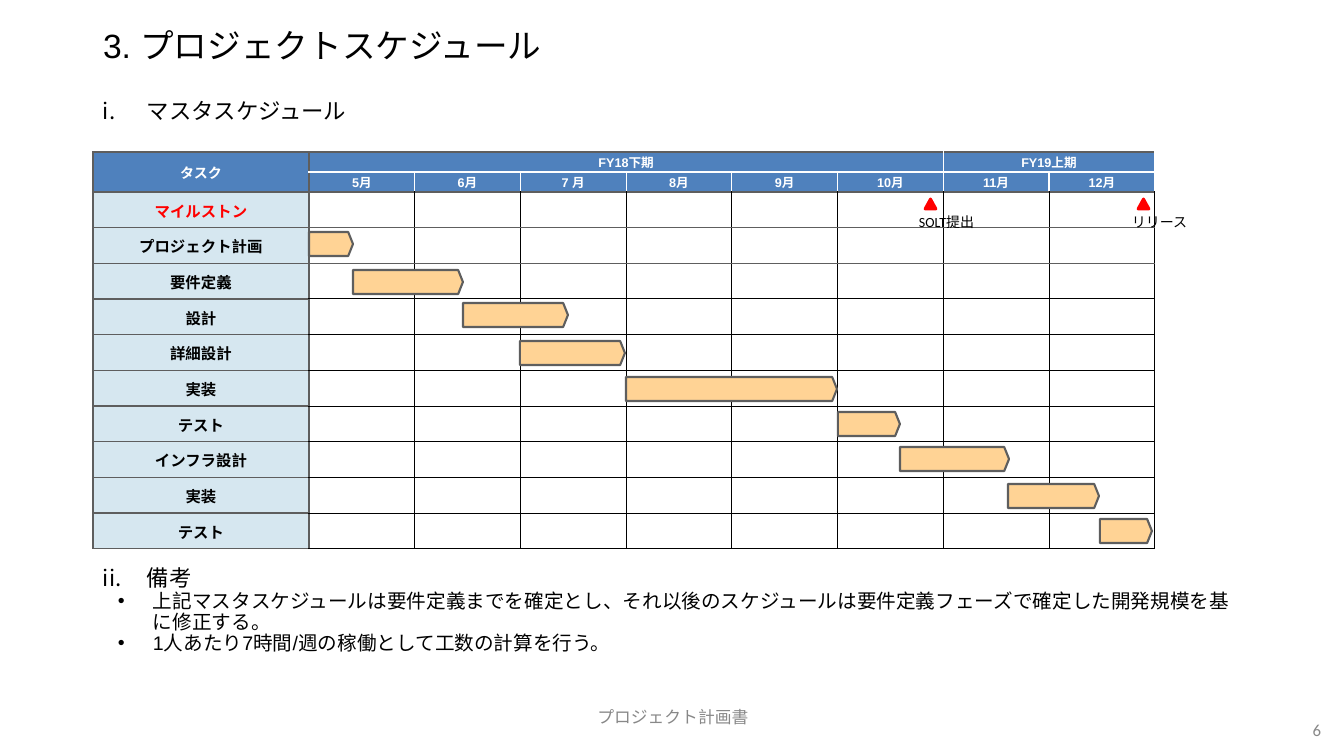
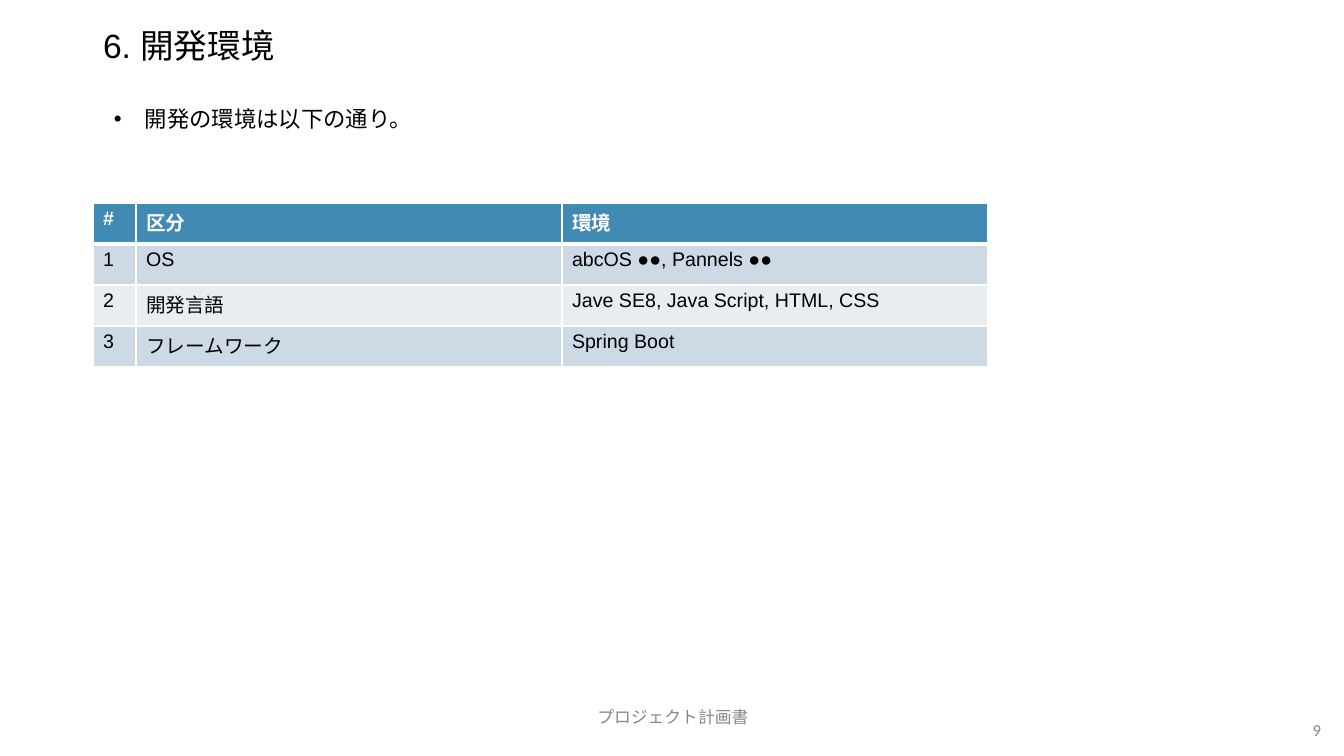
from lxml.etree import SubElement as sub
from pptx import Presentation
from pptx.dml.color import RGBColor as RGB
from pptx.enum.shapes import MSO_SHAPE as SHAPE
from pptx.enum.text import MSO_ANCHOR as ANCHOR, PP_ALIGN as ALIGN
from pptx.oxml.ns import qn
from pptx.util import Pt

BLACK, WHITE = RGB(0, 0, 0), RGB(255, 255, 255)
GREY, RED = RGB(0x5E, 0x5E, 0x5E), RGB(255, 0, 0)
MUTED = RGB(0x88, 0x88, 0x88)
BLUE, PALE = RGB(0x4F, 0x81, 0xBD), RGB(0xD6, 0xE7, 0xF0)
AMBER = RGB(0xFF, 0xD3, 0x95)
TEAL, BAND, LIGHT = RGB(0x41, 0x8A, 0xB3), RGB(0xCD, 0xD9, 0xE4), RGB(0xE8, 0xED, 0xF2)

FOOTER = "プロジェクト計画書"
HALVES = [("FY18下期", 1, 6), ("FY19上期", 7, 8)]
MONTHS = ["5月", "6月", "7 月", "8月", "9月", "10月", "11月", "12月"]
# task, then left, top and width of its bar
TASKS = [
    ("プロジェクト計画", 309, 232, 44),
    ("要件定義", 353, 270, 110),
    ("設計", 463, 303, 105),
    ("詳細設計", 520, 341, 105),
    ("実装", 626, 377, 211),
    ("テスト", 838, 412, 62),
    ("インフラ設計", 900, 447, 109),
    ("実装", 1008, 484, 91),
    ("テスト", 1100, 519, 52),
]
MARKS = [("SOLT提出", 925), ("リリース", 1138)]
NOTES = [
    "上記マスタスケジュールは要件定義までを確定とし、それ以後のスケジュールは"
    "要件定義フェーズで確定した開発規模を基に修正する。",
    "1人あたり7時間/週の稼働として工数の計算を行う。",
]
TOOLS = [
    ("#", "区分", "環境"),
    ("1", "OS", "abcOS ●●, Pannels ●●"),
    ("2", "開発言語", "Jave SE8, Java Script, HTML, CSS"),
    ("3", "フレームワーク", "Spring Boot"),
]


def px(n):
    """Turn pixels into EMU."""
    return round(n * 914400 / 100.8)


def style(para, size, color=BLACK, font="Arial", bold=False):
    """Format every run of a paragraph."""
    for run in para.runs:
        run.font.size, run.font.name, run.font.bold = Pt(size), font, bold
        run.font.color.rgb = color


def write(slide, box, text, size, color=BLACK, align=ALIGN.LEFT, anchor=ANCHOR.TOP):
    """Add a one-line Calibri text box."""
    frame = slide.shapes.add_textbox(*map(px, box)).text_frame
    frame.word_wrap, frame.vertical_anchor, frame.text = True, anchor, text
    para = frame.paragraphs[0]
    para.alignment = align
    style(para, size, color, "Calibri")


def write_list(slide, box, items):
    """Add a list of (text, size, left, hang, roman start or None, space before)."""
    frame = slide.shapes.add_textbox(*map(px, box)).text_frame
    frame.word_wrap = True
    frame.text = "\n".join(item[0] for item in items)
    for para, (_, size, left, hang, start, gap) in zip(frame.paragraphs, items):
        para.line_spacing, para.space_before = 0.9, Pt(gap)
        style(para, size)
        prop = para._p.get_or_add_pPr()
        prop.set("marL", str(px(left)))
        prop.set("indent", str(-px(hang)))
        sub(prop, qn("a:buFont"), typeface="Arial")
        if start:
            sub(prop, qn("a:buAutoNum"), type="romanLcPeriod", startAt=str(start))
        else:
            sub(prop, qn("a:buChar"), char="•")


def add_page(title, number):
    """Add a slide with its title, footer and page number."""
    slide = deck.slides.add_slide(deck.slide_layouts[5])
    head = slide.shapes.title
    head.left, head.top, head.width, head.height = map(px, (93, 14, 1159, 68))
    frame = head.text_frame
    frame.text, frame.vertical_anchor = title, ANCHOR.MIDDLE
    para = frame.paragraphs[0]
    para.alignment, para.line_spacing = ALIGN.LEFT, 0.9
    style(para, 24)
    write(slide, (446, 697, 454, 40), FOOTER, 12, MUTED, ALIGN.CENTER, ANCHOR.MIDDLE)
    write(slide, (1240, 710, 91, 40), number, 12, MUTED, ALIGN.RIGHT, ANCHOR.MIDDLE)
    return slide


def add_grid(slide, left, top, cols, rows):
    """Add a table with the given column widths and row heights."""
    box = (left, top, sum(cols), sum(rows))
    grid = slide.shapes.add_table(len(rows), len(cols), *map(px, box)).table
    for col, size in zip(grid.columns, cols):
        col.width = px(size)
    for row, size in zip(grid.rows, rows):
        row.height = px(size)
    return grid


def paint(cell, fill, edges):
    """Draw the left, right, top and bottom edges of a cell, then fill it."""
    prop = cell._tc.get_or_add_tcPr()
    for side, (color, width) in zip("LRTB", edges):
        line = sub(prop, qn("a:ln" + side), w=str(Pt(width)))
        sub(sub(line, qn("a:solidFill")), qn("a:srgbClr"), val=str(color))
    cell.fill.solid()
    cell.fill.fore_color.rgb = fill


def level(row, col):
    """Give the rule above a row of the schedule."""
    if col == 0 or row != 1 and row <= 4:
        return GREY, 1
    return (WHITE, 1) if row == 1 else (BLACK, 0.75)


def upright(row, col):
    """Give the rule left of a column of the schedule."""
    if col <= 1:
        return GREY, 1
    return (WHITE, 1) if row < 2 else (BLACK, 0.75)


def add_plan(slide):
    """Add the schedule table."""
    names = ["マイルストン"] + [task[0] for task in TASKS]
    texts = {(0, 0): "タスク"}
    texts.update({(0, first): name for name, first, _ in HALVES})
    texts.update({(1, c): name for c, name in enumerate(MONTHS, 1)})
    texts.update({(r, 0): name for r, name in enumerate(names, 2)})
    cols = [216] + [846 / len(MONTHS)] * len(MONTHS)
    rows = [20, 20] + [357 / len(names)] * len(names)
    grid = add_grid(slide, 93, 152, cols, rows)
    for r in range(len(rows)):
        for c in range(len(cols)):
            cell = grid.cell(r, c)
            fill = BLUE if r < 2 else PALE if c == 0 else WHITE
            paint(cell, fill, (upright(r, c), upright(r, c + 1), level(r, c), level(r + 1, c)))
            cell.margin_left = cell.margin_right = cell.margin_top = px(1)
            cell.margin_bottom = 0
            cell.vertical_anchor = ANCHOR.MIDDLE
            para = cell.text_frame.paragraphs[0]
            if (r, c) not in texts:
                sub(para._p, qn("a:endParaRPr"), sz="900")
                continue
            para.text, para.alignment = texts[r, c], ALIGN.CENTER
            size = 11 if r > 1 else 9 if c else 10
            style(para, size, WHITE if r < 2 else RED if r == 2 else BLACK, bold=True)
    grid.cell(0, 0).merge(grid.cell(1, 0))
    for _, first, last in HALVES:
        grid.cell(0, first).merge(grid.cell(0, last))


def add_mark(slide, kind, box, fill, edge, width):
    """Add a filled and outlined shape."""
    mark = slide.shapes.add_shape(kind, *map(px, box))
    mark.shadow.inherit = False
    mark.fill.solid()
    mark.fill.fore_color.rgb = fill
    mark.line.color.rgb, mark.line.width = edge, Pt(width)
    return mark


def add_tools(slide):
    """Add the table of the development environment."""
    grid = add_grid(slide, 93, 203, [43, 426, 426], [41] * len(TOOLS))
    for r, row in enumerate(TOOLS):
        fill = TEAL if r == 0 else BAND if r % 2 else LIGHT
        above, below = (3 if edge == 1 else 1 for edge in (r, r + 1))
        for c, text in enumerate(row):
            cell = grid.cell(r, c)
            paint(cell, fill, [(WHITE, width) for width in (1, 1, above, below)])
            cell.text_frame.text = text
            style(cell.text_frame.paragraphs[0], 14, BLACK if r else WHITE, bold=r == 0)


deck = Presentation()
deck.slide_width, deck.slide_height = px(1344), px(756)

plan = add_page("3. プロジェクトスケジュール", "6")
write_list(plan, (93, 95, 1159, 57), [("マスタスケジュール", 16, 44, 44, 1, 10)])
add_plan(plan)
for _, left, top, width in TASKS:
    bar = add_mark(plan, SHAPE.PENTAGON, (left, top, width, 24), AMBER, GREY, 1.5)
    bar.adjustments[0] = 0.2
for text, left in MARKS:
    add_mark(plan, SHAPE.ISOSCELES_TRIANGLE, (left, 199, 11, 10), RED, RED, 2)
    write(plan, (left - 16, 209, 89, 27), text, 10)
write_list(plan, (93, 562, 1159, 134),
           [("備考", 16, 44, 44, 2, 10)] + [(note, 14, 50, 35, None, 0) for note in NOTES])

tools = add_page("6. 開発環境", "9")
write_list(tools, (93, 103, 1159, 578), [("開発の環境は以下の通り。", 16, 42, 31, None, 0)])
add_tools(tools)

deck.save("out.pptx")
